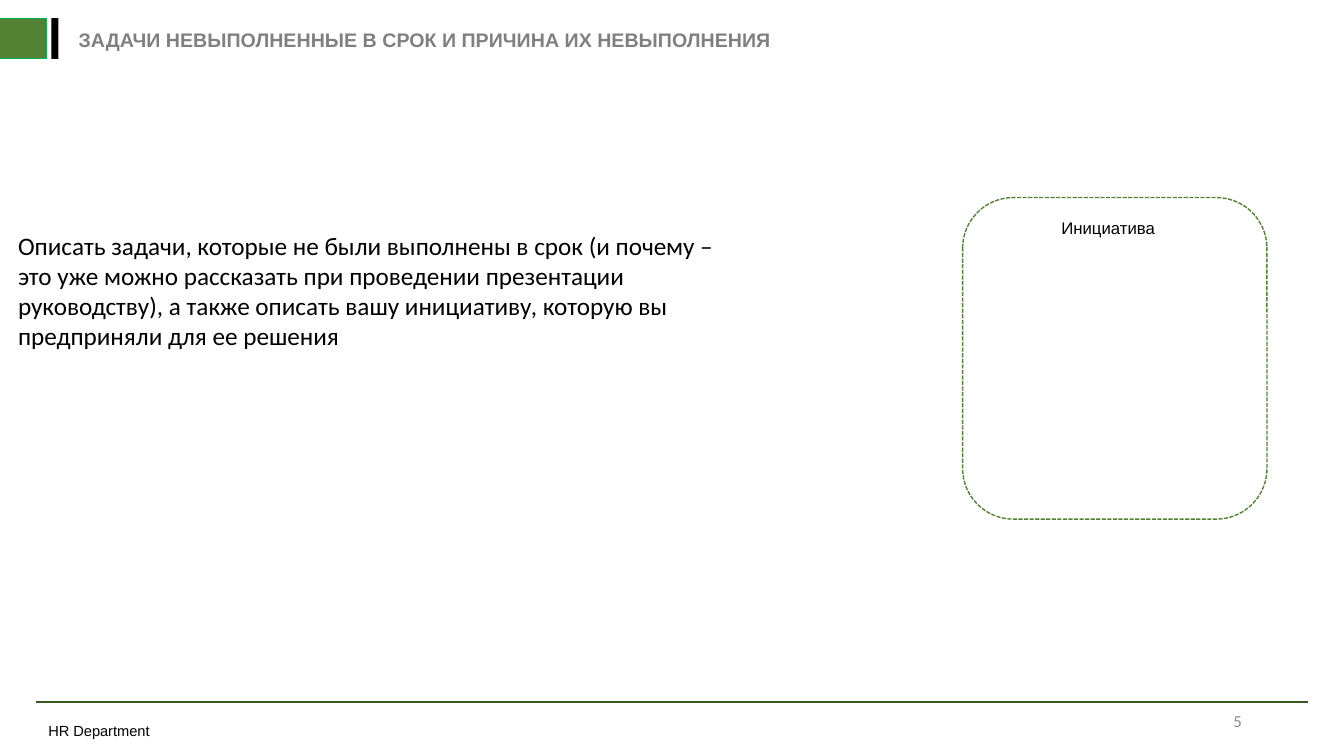
from dataclasses import dataclass

from lxml.etree import SubElement
from pptx import Presentation
from pptx.dml.color import RGBColor
from pptx.enum.dml import MSO_LINE
from pptx.enum.shapes import MSO_CONNECTOR, MSO_SHAPE
from pptx.enum.text import MSO_ANCHOR, MSO_AUTO_SIZE, PP_ALIGN
from pptx.oxml.ns import qn
from pptx.util import Pt


@dataclass(frozen=True)
class Theme:
    green: str = "548235"
    bright_green: str = "00B050"
    dark_green: str = "385723"
    black: str = "000000"
    white: str = "FFFFFF"
    title_gray: str = "808080"
    number_gray: str = "8C8C8C"
    heading_font: str = "Arial"
    body_font: str = "Calibri"
    title_size: float = 14
    body_size: float = 18
    label_size: float = 12
    footer_size: float = 10.5


THEME = Theme()


def rgb(color):
    return RGBColor.from_string(color)


def place(element, left, top, width, height):
    element.left, element.top = Pt(left), Pt(top)
    element.width, element.height = Pt(width), Pt(height)


def write(element, text, *, size, color=THEME.black, font=THEME.heading_font,
          bold=False, align=PP_ALIGN.LEFT, anchor=MSO_ANCHOR.TOP, wrap=False):
    frame = element.text_frame
    frame.auto_size = MSO_AUTO_SIZE.NONE
    frame.word_wrap = wrap
    frame.vertical_anchor = anchor
    paragraph = frame.paragraphs[0]
    paragraph.alignment = align
    run = paragraph.add_run()
    run.text = text
    run.font.name = font
    run.font.size = Pt(size)
    run.font.bold = bold
    run.font.color.rgb = rgb(color)


def add_text(slide, box, text, **text_format):
    write(slide.shapes.add_textbox(*map(Pt, box)), text, **text_format)


def add_block(slide, kind, box, fill, line=None, line_width=0.75, dash=None):
    block = slide.shapes.add_shape(kind, *map(Pt, box))
    block.shadow.inherit = False
    block.fill.solid()
    block.fill.fore_color.rgb = rgb(fill)
    if line is None:
        block.line.fill.background()
    else:
        block.line.color.rgb = rgb(line)
        block.line.width = Pt(line_width)
        block.line.dash_style = dash


def add_rule(slide, left, right, y, color, width):
    rule = slide.shapes.add_connector(
        MSO_CONNECTOR.STRAIGHT, Pt(left), Pt(y), Pt(right), Pt(y))
    rule.line.color.rgb = rgb(color)
    rule.line.width = Pt(width)
    SubElement(rule._element.spPr, qn("a:effectLst"))


def add_header(slide, text):
    top, height = 13, 29
    add_block(slide, MSO_SHAPE.RECTANGLE, (0, top, 33, height),
              THEME.green, THEME.bright_green)
    add_block(slide, MSO_SHAPE.RECTANGLE, (36.7, top, 5, height), THEME.black)
    title = slide.shapes.title
    place(title, 49, 16.6, 514, 24.5)
    write(title, text, size=THEME.title_size, color=THEME.title_gray, bold=True)


def add_footer(slide, department, number):
    add_rule(slide, 26, 934.6, 501.1, THEME.dark_green, 1.44)
    add_text(slide, (27.4, 512, 91.4, 21), department, size=THEME.footer_size)
    add_text(slide, (678.2, 500.4, 216, 28.8), number, size=THEME.label_size,
             color=THEME.number_gray, font=THEME.body_font,
             align=PP_ALIGN.RIGHT, anchor=MSO_ANCHOR.MIDDLE, wrap=True)


def add_initiative(slide, label):
    add_block(slide, MSO_SHAPE.ROUNDED_RECTANGLE, (687.6, 141.1, 217.4, 229.7),
              THEME.white, THEME.green, 1, MSO_LINE.SQUARE_DOT)
    add_text(slide, (751, 152, 82, 21.6), label, size=THEME.label_size)


def main():
    deck = Presentation()
    deck.slide_width, deck.slide_height = Pt(960), Pt(540)
    slide = deck.slides.add_slide(deck.slide_layouts[5])
    add_header(slide, "ЗАДАЧИ НЕВЫПОЛНЕННЫЕ В СРОК И ПРИЧИНА ИХ НЕВЫПОЛНЕНИЯ")
    add_footer(slide, "HR Department", "5")
    add_initiative(slide, "Инициатива")
    add_text(slide, (5.8, 160.6, 516.2, 94.3),
             "Описать задачи, которые не были выполнены в срок (и почему – "
             "это уже можно рассказать при проведении презентации "
             "руководству), а также описать вашу инициативу, которую вы "
             "предприняли для ее решения",
             size=THEME.body_size, font=THEME.body_font, wrap=True)
    deck.save("out.pptx")


if __name__ == "__main__":
    main()
